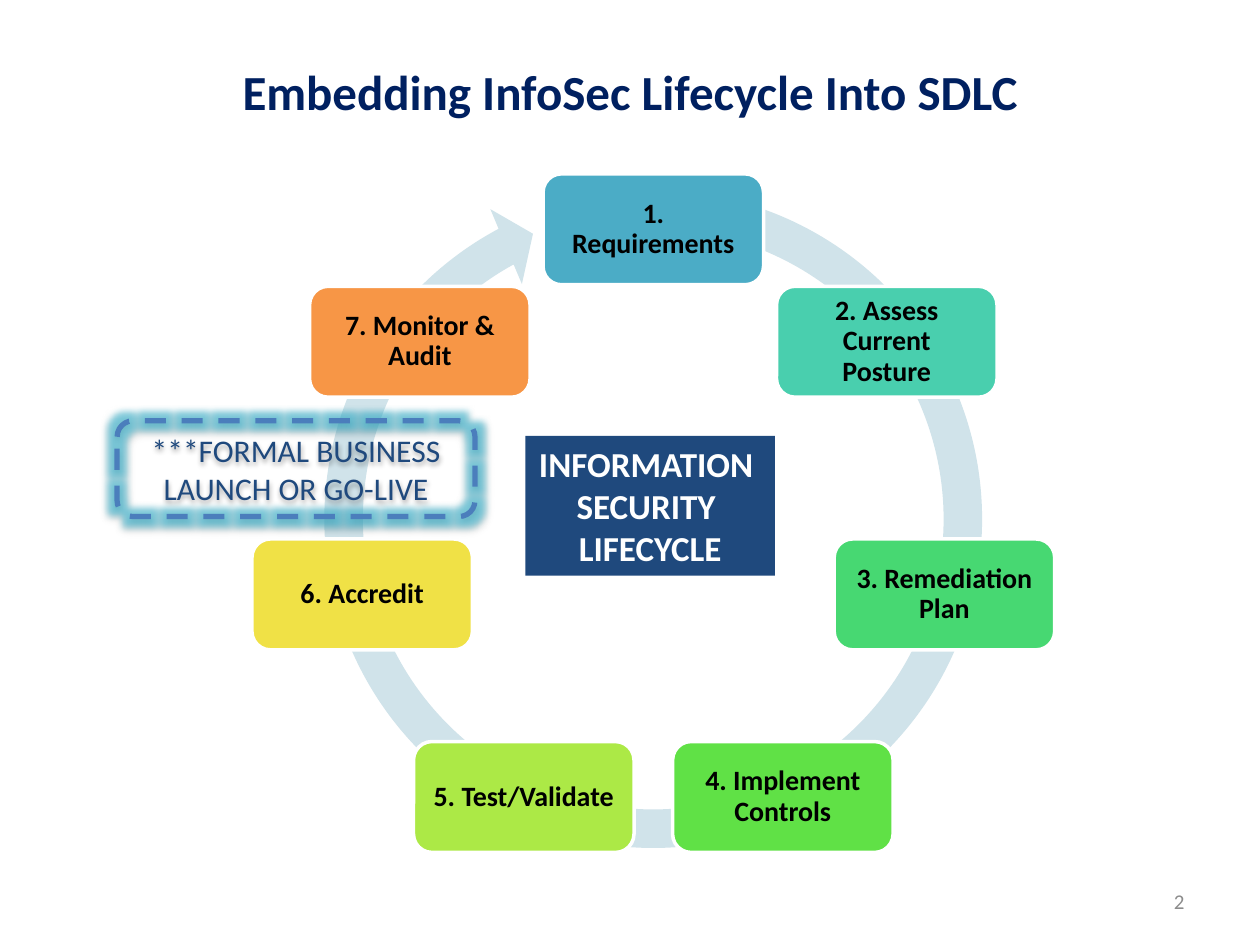
from dataclasses import dataclass
from math import cos, pi, sin
from typing import NamedTuple

from lxml.etree import SubElement
from pptx import Presentation
from pptx.dml.color import RGBColor
from pptx.enum.dml import MSO_LINE
from pptx.enum.shapes import MSO_SHAPE
from pptx.enum.text import MSO_ANCHOR, MSO_AUTO_SIZE, PP_ALIGN
from pptx.oxml.ns import qn
from pptx.util import Inches, Pt


@dataclass(frozen=True)
class Theme:
    font: str = "Calibri"
    navy: str = "002060"
    blue: str = "1F497D"
    dash: str = "4B7EBC"
    glow: str = "41C0DC"
    ring: str = "D0E3EA"
    white: str = "FFFFFF"
    black: str = "000000"
    grey: str = "8C8C8C"
    title_size: int = 28
    hub_size: int = 20
    callout_size: int = 18
    stage_size: int = 16
    number_size: int = 12


class Area(NamedTuple):
    """Left, top, width and height in grid cells."""
    col: float
    row: float
    cols: float
    rows: float

    def emu(self) -> list[int]:
        return [round(cells * CELL) for cells in self]


class Stage(NamedTuple):
    label: str
    fill: str


THEME = Theme()
COLUMNS, ROWS = 100, 75
CELL = Inches(0.1)

# Stages sit at equal angles on a circle, clockwise from the top
CENTRE_COL, CENTRE_ROW, RADIUS = 51.85, 41.9, 23.7
STAGE_COLS, STAGE_ROWS = 17.5, 8.8
RING_SIZE = 55.6
RING_ADJUSTMENTS = (0.055, 3.307, 144.979, 169.605, 0.058)
STAGES = (
    Stage("1. Requirements", "4BACC6"),
    Stage("2. Assess Current Posture", "49CFAE"),
    Stage("3. Remediation Plan", "47D872"),
    Stage("4. Implement Controls", "60E146"),
    Stage("5. Test/Validate", "ACE946"),
    Stage("6. Accredit", "F0E146"),
    Stage("7. Monitor & Audit", "F79646"),
)


def apply(target, formats: dict) -> None:
    for name, value in formats.items():
        setattr(target, name, value)


def write(shape, lines: list[str], size: int, color: str, bold: bool = False,
          align=PP_ALIGN.CENTER, spacing: float = 1.0, **frame_formats) -> None:
    frame = shape.text_frame
    apply(frame, {"word_wrap": True, "vertical_anchor": MSO_ANCHOR.MIDDLE,
                  **frame_formats})
    for index, line in enumerate(lines):
        paragraph = frame.add_paragraph() if index else frame.paragraphs[0]
        apply(paragraph, {"alignment": align, "line_spacing": spacing})
        run = paragraph.add_run()
        run.text = line
        apply(run.font, {"name": THEME.font, "size": Pt(size), "bold": bold})
        run.font.color.rgb = RGBColor.from_string(color)


def add_block(slide, kind, area: Area, fill: str | None = None,
              line: str | None = None, width: float = 0):
    shape = slide.shapes.add_shape(kind, *area.emu())
    shape.shadow.inherit = False
    if fill:
        shape.fill.solid()
        shape.fill.fore_color.rgb = RGBColor.from_string(fill)
    else:
        shape.fill.background()
    if line:
        shape.line.color.rgb = RGBColor.from_string(line)
        shape.line.width = Pt(width)
    else:
        shape.line.fill.background()
    return shape


def add_effect(shape, kind: str, color: str, opacity: int, **settings) -> None:
    effects = shape._element.spPr.find(qn("a:effectLst"))
    effect = SubElement(effects, qn(f"a:{kind}"),
                        {name: str(value) for name, value in settings.items()})
    tint = SubElement(effect, qn("a:srgbClr"), val=color)
    SubElement(tint, qn("a:alpha"), val=str(opacity * 1000))


def add_ring(slide) -> None:
    ring = add_block(slide, MSO_SHAPE.CIRCULAR_ARROW,
                     Area(CENTRE_COL - RING_SIZE / 2, 13.4, RING_SIZE, RING_SIZE),
                     THEME.ring)
    for index, value in enumerate(RING_ADJUSTMENTS):
        ring.adjustments[index] = value


def add_stage(slide, stage: Stage, angle: float) -> None:
    area = Area(CENTRE_COL + RADIUS * sin(angle) - STAGE_COLS / 2,
                CENTRE_ROW - RADIUS * cos(angle) - STAGE_ROWS / 2,
                STAGE_COLS, STAGE_ROWS)
    box = add_block(slide, MSO_SHAPE.ROUNDED_RECTANGLE, area, stage.fill,
                    THEME.white, 2)
    inset = Inches(0.11)
    write(box, [stage.label], THEME.stage_size, THEME.black, bold=True, spacing=0.9,
          margin_left=inset, margin_right=inset, margin_top=inset, margin_bottom=inset)


def add_callout(slide) -> None:
    callout = add_block(slide, MSO_SHAPE.ROUNDED_RECTANGLE,
                        Area(9.3, 33.4, 28.4, 7.6), line=THEME.dash, width=3)
    callout.line.dash_style = MSO_LINE.DASH
    add_effect(callout, "glow", THEME.glow, 60, rad=Pt(8))
    add_effect(callout, "outerShdw", THEME.black, 35, blurRad=Pt(3.1),
               dist=Pt(1.8), dir=90 * 60000, rotWithShape=0)
    write(callout, ["***FORMAL BUSINESS LAUNCH OR GO-LIVE"],
          THEME.callout_size, THEME.blue)


def main() -> None:
    deck = Presentation()
    apply(deck, {"slide_width": COLUMNS * CELL, "slide_height": ROWS * CELL})
    slide = deck.slides.add_slide(deck.slide_layouts[6])

    # Page number and title
    number = slide.shapes.add_textbox(*Area(71.7, 69.5, 23.3, 4).emu())
    write(number, ["2"], THEME.number_size, THEME.grey, align=PP_ALIGN.RIGHT)
    title = slide.shapes.add_textbox(*Area(5, 2.3, 90, 9.8).emu())
    write(title, ["Embedding InfoSec Lifecycle Into SDLC"],
          THEME.title_size, THEME.navy, bold=True)

    # Lifecycle ring
    add_ring(slide)
    for index, stage in enumerate(STAGES):
        add_stage(slide, stage, 2 * pi * index / len(STAGES))

    # Launch callout and central label
    add_callout(slide)
    hub = add_block(slide, MSO_SHAPE.RECTANGLE, Area(41.7, 34.6, 19.8, 11.1), THEME.blue)
    write(hub, ["INFORMATION ", "SECURITY ", "LIFECYCLE"], THEME.hub_size, THEME.white,
          bold=True, word_wrap=False, auto_size=MSO_AUTO_SIZE.SHAPE_TO_FIT_TEXT,
          vertical_anchor=MSO_ANCHOR.TOP)

    deck.save("out.pptx")


if __name__ == "__main__":
    main()
